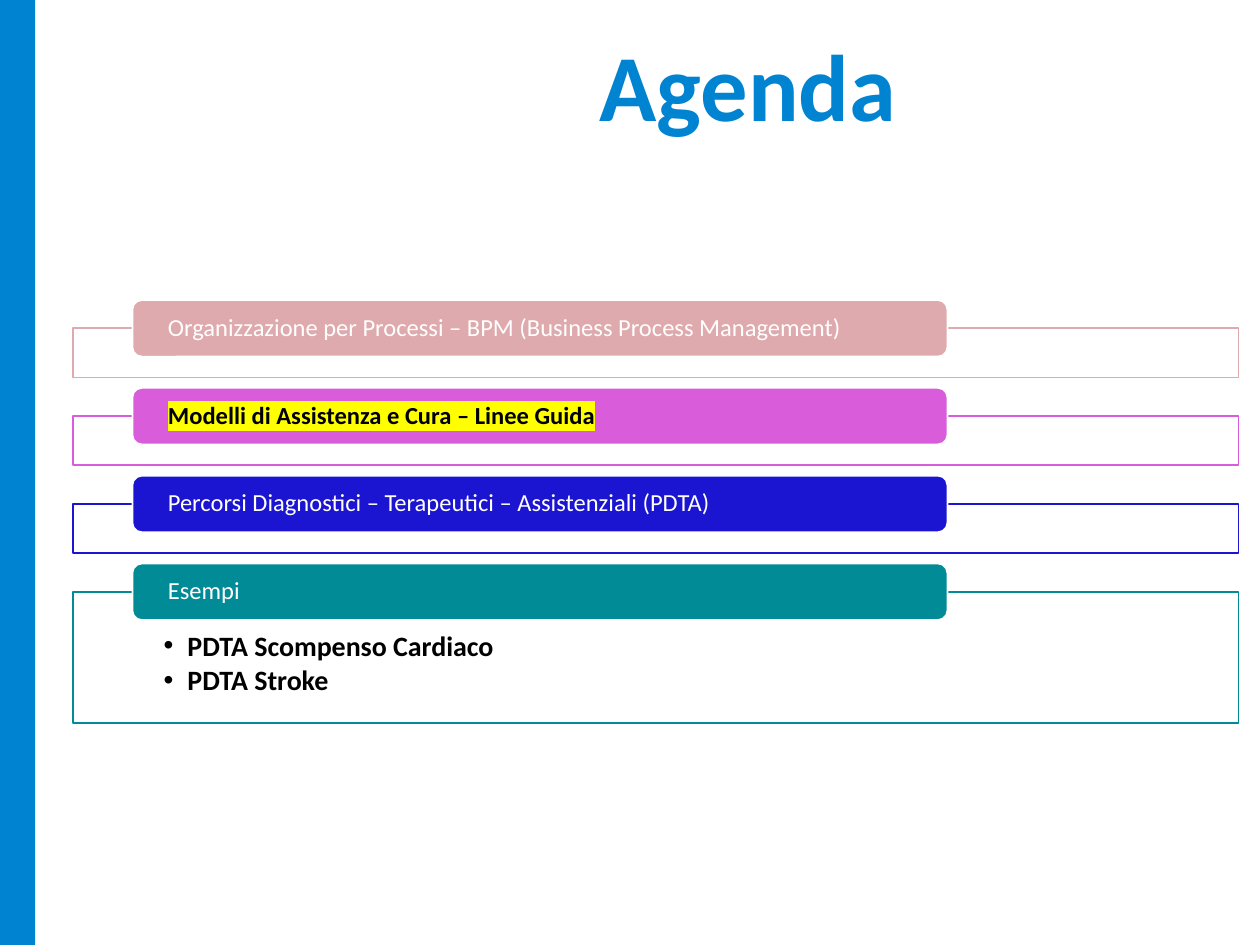
from lxml import etree
from pptx import Presentation
from pptx.dml.color import RGBColor
from pptx.enum.shapes import MSO_SHAPE
from pptx.enum.text import MSO_ANCHOR, PP_ALIGN
from pptx.oxml.ns import qn
from pptx.util import Cm, Pt

RECT, ROUND = MSO_SHAPE.RECTANGLE, MSO_SHAPE.ROUNDED_RECTANGLE
TOP, MID, LEFT = MSO_ANCHOR.TOP, MSO_ANCHOR.MIDDLE, PP_ALIGN.LEFT
BLUE, WHITE, BLACK, YELLOW = "0084D1", "FFFFFF", "000000", "FFFF00"

TITLE = "Agenda"
MARKED = {"color": BLACK, "bold": True, "mark": YELLOW}
ITEMS = [
    ("Organizzazione per Processi – BPM (Business Process Management)", "DFAAAD", {}, []),
    ("Modelli di Assistenza e Cura – Linee Guida", "D95DDB", MARKED, []),
    ("Percorsi Diagnostici – Terapeutici – Assistenziali (PDTA)", "1B15D2", {}, []),
    ("Esempi", "008B96", {}, ["PDTA Scompenso Cardiaco", "PDTA Stroke"]),
]
START, PITCH, DROP = 6.05, 1.77, 0.57


def paint(code):
    return RGBColor.from_string(code)


def shape(kind, x, y, w, h, fill, line=None):
    item = slide.shapes.add_shape(kind, Cm(x), Cm(y), Cm(w), Cm(h))
    item.shadow.inherit = False
    item.fill.solid()
    item.fill.fore_color.rgb = paint(fill)
    if line:
        item.line.color.rgb = paint(line)
        item.line.width = Pt(1)
    else:
        item.line.fill.background()
    return item


def write(item, lines, size=14, color=WHITE, bold=False, mark=None, bullet=None,
          anchor=MID, pad=(0.66, 0, 0.66, 0), space=0.9, after=0):
    frame = item.text_frame
    frame.word_wrap = True
    frame.vertical_anchor = anchor
    (frame.margin_left, frame.margin_top,
     frame.margin_right, frame.margin_bottom) = map(Cm, pad)
    for i, line in enumerate(lines):
        para = frame.add_paragraph() if i else frame.paragraphs[0]
        para.alignment = LEFT
        para.line_spacing = space
        para.space_after = Pt(after)
        run = para.add_run()
        run.text = line
        font = run.font
        font.size, font.bold, font.name = Pt(size), bold, "Calibri"
        font.color.rgb = paint(color)
        if mark:
            light = etree.Element(qn("a:highlight"))
            etree.SubElement(light, qn("a:srgbClr"), val=mark)
            run._r.rPr.find(qn("a:solidFill")).addnext(light)
        if bullet:
            props = para._p.get_or_add_pPr()
            props.set("marL", str(Cm(0.48)))
            props.set("indent", str(-Cm(0.48)))
            etree.SubElement(props, qn("a:buFont"), typeface="Arial")
            etree.SubElement(props, qn("a:buChar"), char=bullet)


deck = Presentation()
deck.slide_width, deck.slide_height = Cm(25.4), Cm(19.05)
slide = deck.slides.add_slide(deck.slide_layouts[6])

shape(RECT, 0, 0, 0.71, 19.05, BLUE)
head = slide.shapes.add_textbox(Cm(11.84), Cm(0.84), Cm(12.37), Cm(1.7))
write(head, [TITLE], size=54, color=BLUE, bold=True, pad=(0.25, 0.13, 0.25, 0.13), space=1)

for i, (label, hue, style, points) in enumerate(ITEMS):
    y = START + i * PITCH
    box = shape(RECT, 1.47, y + DROP, 23.5, 2.64 if points else 0.99, WHITE, hue)
    if points:
        write(box, points, size=16, color=BLACK, bold=True, bullet="•",
              anchor=TOP, pad=(1.83, 0.81, 1.83, 0.3), after=2.4)
    pill = shape(ROUND, 2.67, y, 16.43, 1.14, hue, WHITE)
    write(pill, [label], **style)

deck.save("out.pptx")
